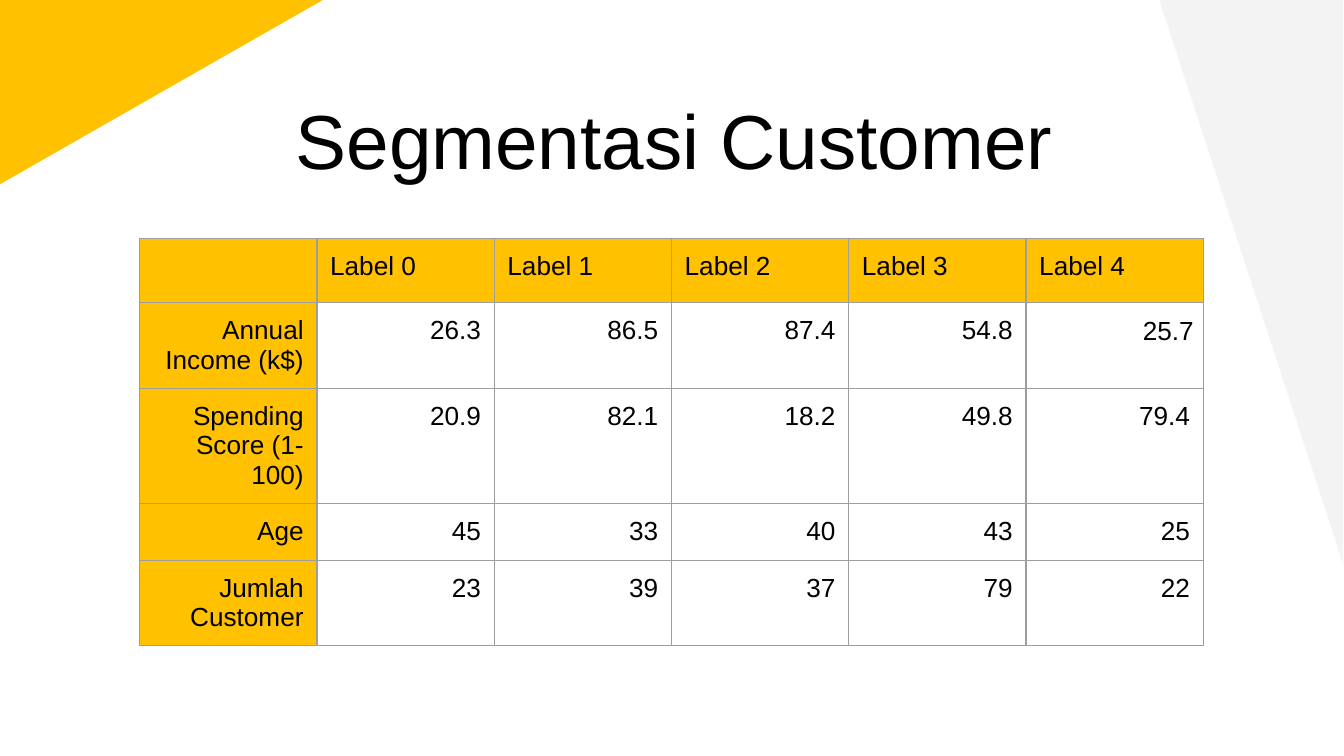
from lxml.etree import SubElement
from pptx import Presentation
from pptx.dml.color import RGBColor
from pptx.enum.shapes import MSO_SHAPE
from pptx.enum.text import MSO_ANCHOR, MSO_AUTO_SIZE, PP_ALIGN
from pptx.oxml.ns import qn
from pptx.util import Cm, Pt

COLORS = {"yellow": "FFC100", "pale": "F3F3F3", "ink": "000000", "rule": "9E9E9E"}
FONT = "Arial"
SEGMENTS = [
    ["", "Label 0", "Label 1", "Label 2", "Label 3", "Label 4"],
    ["Annual Income (k$)", "26.3", "86.5", "87.4", "54.8", "25.7"],
    ["Spending Score (1-100)", "20.9", "82.1", "18.2", "49.8", "79.4"],
    ["Age", "45", "33", "40", "43", "25"],
    ["Jumlah Customer", "23", "39", "37", "79", "22"],
]


def rgb(name):
    """Return the named colour."""
    return RGBColor.from_string(COLORS[name])


def style_text(paragraph, size, align):
    """Align a paragraph and format its runs."""
    paragraph.alignment = align
    for run in paragraph.runs:
        run.font.name = FONT
        run.font.size = Pt(size)
        run.font.bold = False
        run.font.color.rgb = rgb("ink")


def add_corner(slide, left, top, width, height, rotation, color):
    """Place a mirrored, turned corner triangle in the given box."""
    corner = slide.shapes.add_shape(
        MSO_SHAPE.RIGHT_TRIANGLE, Cm(left), Cm(top), Cm(width), Cm(height))
    corner.rotation = rotation
    corner.element.spPr.find(qn("a:xfrm")).set("flipH", "1")
    corner.shadow.inherit = False
    corner.fill.solid()
    corner.fill.fore_color.rgb = rgb(color)
    corner.line.fill.background()


def place_title(slide, left, top, width, height):
    """Move the title placeholder to the given box and fill it."""
    title = slide.shapes.title
    title.left, title.top = Cm(left), Cm(top)
    title.width, title.height = Cm(width), Cm(height)
    frame = title.text_frame
    frame.text = "Segmentasi Customer"
    frame.word_wrap = True
    frame.auto_size = MSO_AUTO_SIZE.NONE
    frame.vertical_anchor = MSO_ANCHOR.TOP
    frame.margin_left = frame.margin_right = Cm(0.25)
    frame.margin_top, frame.margin_bottom = Cm(0.38), Cm(0)
    style_text(frame.paragraphs[0], 41, PP_ALIGN.CENTER)


def set_margins(cell, margin):
    """Give all four sides of a cell the same margin."""
    cell.margin_left = cell.margin_right = Cm(margin)
    cell.margin_top = cell.margin_bottom = Cm(margin)


def add_borders(cell):
    """Draw a thin rule on all four sides of a cell."""
    properties = cell._tc.get_or_add_tcPr()
    for side in ("a:lnL", "a:lnR", "a:lnT", "a:lnB"):
        rule = SubElement(properties, qn(side), w=str(Pt(0.75)))
        fill = SubElement(rule, qn("a:solidFill"))
        SubElement(fill, qn("a:srgbClr"), val=COLORS["rule"])


def add_segment_table(slide, left, top, width, row_heights):
    """Place the customer segment table with equal columns."""
    columns = len(SEGMENTS[0])
    table = slide.shapes.add_table(
        len(SEGMENTS), columns, Cm(left), Cm(top),
        Cm(width), Cm(sum(row_heights))).table
    table.first_row = table.horz_banding = False
    for column in table.columns:
        column.width = Cm(width / columns)
    for row, height in zip(table.rows, row_heights):
        row.height = Cm(height)
    for r, values in enumerate(SEGMENTS):
        for c, value in enumerate(values):
            cell = table.cell(r, c)
            add_borders(cell)
            if r == 0 or c == 0:
                cell.fill.solid()
                cell.fill.fore_color.rgb = rgb("yellow")
            else:
                cell.fill.background()
            if value:
                set_margins(cell, 0.25)
                cell.text_frame.text = value
                style_text(cell.text_frame.paragraphs[0], 14,
                           PP_ALIGN.RIGHT if r else PP_ALIGN.LEFT)
    last_income = table.cell(1, columns - 1)
    set_margins(last_income, 0.18)
    last_income.text_frame.paragraphs[0].line_spacing = 1.15


def main():
    """Build and save the segmentation slide."""
    deck = Presentation()
    deck.slide_width, deck.slide_height = Cm(25.4), Cm(14.28)
    slide = deck.slides.add_slide(deck.slide_layouts[5])
    add_corner(slide, 0, 0, 6.1, 3.48, 180, "yellow")
    add_corner(slide, 18.31, 3.58, 10.67, 3.48, 270, "pale")
    place_title(slide, 1.5, 1.37, 22.5, 1.6)
    add_segment_table(slide, 2.64, 4.5, 20.1, [1.22, 1.62, 2.17, 1.07, 1.62])
    deck.save("out.pptx")


if __name__ == "__main__":
    main()
